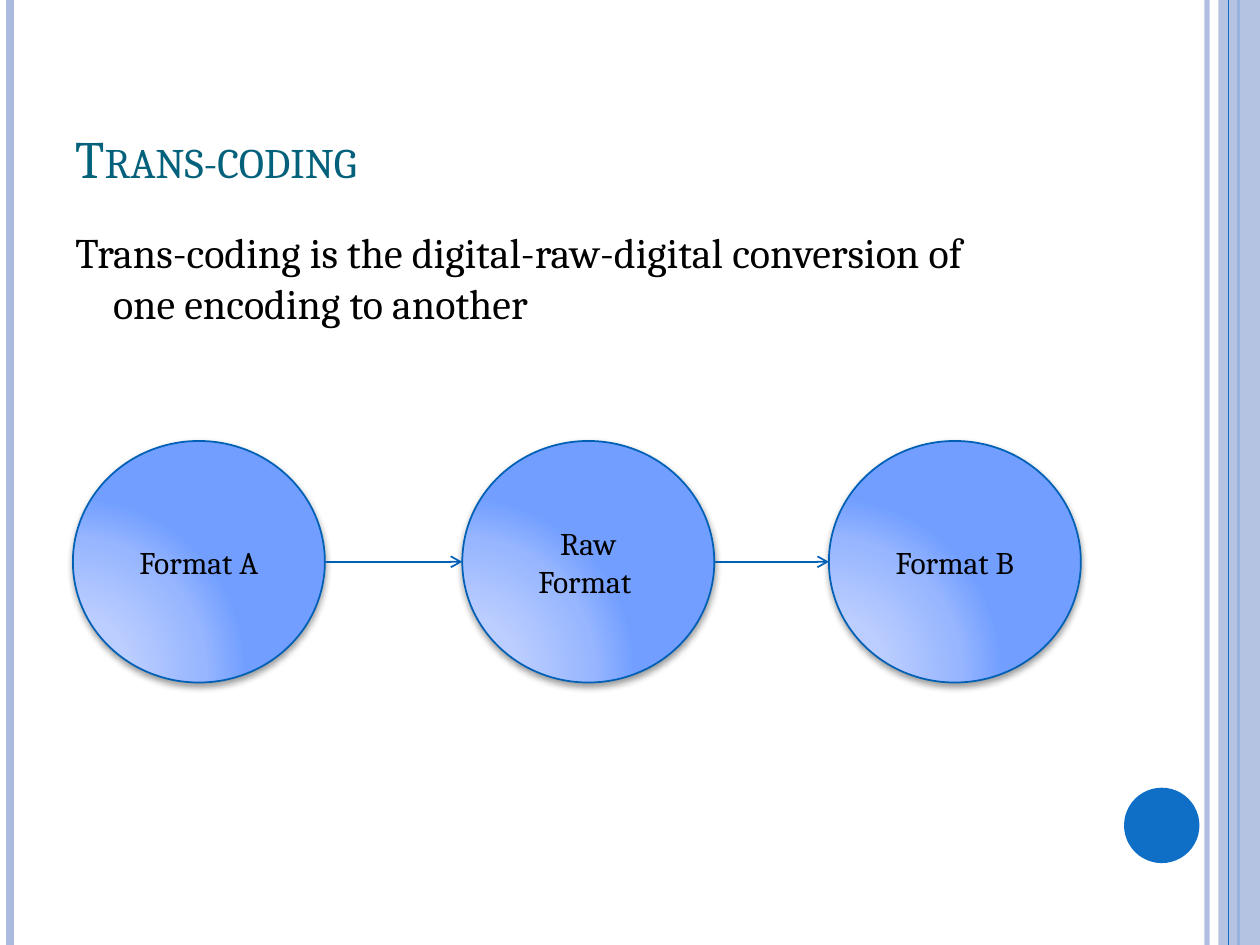
"""Build the trans-coding slide: three formats joined by arrows."""
from lxml.etree import SubElement
from pptx import Presentation
from pptx.dml.color import RGBColor
from pptx.enum.shapes import MSO_CONNECTOR, MSO_SHAPE
from pptx.enum.text import MSO_ANCHOR, PP_ALIGN
from pptx.oxml import parse_xml
from pptx.oxml.ns import nsdecls, qn
from pptx.util import Cm, Pt

NBSP = chr(160)
TITLE = "Trans-coding"
BODY = (f"Trans-coding{NBSP}is the digital-raw-digital conversion of "
        f"one{NBSP}encoding{NBSP}to another")
FORMATS = [("Format A", 1.47), ("Raw Format ", 9.32), ("Format B", 16.71)]
STRIPES = [(24.33, "pale", 3, 93), (0.2, "pale", 4.5, 100), (24.97, "accent", 1.5, 100)]
INNER_STRIPE = (24.77, "accent", 0.75, 100)
THEME = {
    "font": "Cambria", "title_size": 30, "body_size": 24, "label_size": 18,
    "pale": "ABBBDF", "accent": "0F6FC6", "title": "04617B",
    "text": "000000", "outline": "0060B6",
    "glow": [(0, "C2D3FF"), (30, "BCCEFF"), (75, "97B6FF"), (100, "719EFF")],
}
SLIDE_W, SLIDE_H = 25.4, 19.05
TOP, DIAMETER, HEIGHT = 8.89, 5.08, 4.87


def rgb(name):
    return RGBColor.from_string(THEME[name])


def set_alpha(sp, percent):
    for clr in sp._element.spPr.iter(qn("a:srgbClr")):
        SubElement(clr, qn("a:alpha"), val=str(percent * 1000))


def add_line(s, start, end, color, width):
    cx = s.shapes.add_connector(MSO_CONNECTOR.STRAIGHT, *map(Cm, start + end))
    cx.line.color.rgb = rgb(color)
    cx.line.width = Pt(width)
    SubElement(cx._element.spPr, qn("a:effectLst"))
    return cx


def add_stripe(s, x, color, width, alpha):
    cx = add_line(s, (x, 0), (x, SLIDE_H), color, width)
    if alpha < 100:
        set_alpha(cx, alpha)


def add_plain(s, kind, box, color):
    sp = s.shapes.add_shape(kind, *map(Cm, box))
    sp.shadow.inherit = False
    sp.fill.solid()
    sp.fill.fore_color.rgb = rgb(color)
    sp.line.fill.background()
    return sp


def write(sp, text, size, color, anchor):
    tf = sp.text_frame
    tf.word_wrap = True
    tf.vertical_anchor = anchor
    p = tf.paragraphs[0]
    p.text = text
    p.font.name = THEME["font"]
    p.font.size = Pt(THEME[size])
    p.font.color.rgb = rgb(color)
    return p


def add_text(s, box, *style):
    return write(s.shapes.add_textbox(*map(Cm, box)), *style)


def add_glow(sp):
    stops = "".join(f'<a:gs pos="{pos * 1000}"><a:srgbClr val="{color}"/></a:gs>'
                    for pos, color in THEME["glow"])
    fill = parse_xml(
        f'<a:gradFill {nsdecls("a")} rotWithShape="1"><a:gsLst>{stops}</a:gsLst>'
        '<a:path path="circle"><a:fillToRect l="5000" t="100000" r="120000" b="10000"/>'
        '</a:path></a:gradFill>')
    shadow = parse_xml(
        f'<a:effectLst {nsdecls("a")}><a:outerShdw blurRad="{Pt(4)}" dist="{Pt(2)}" '
        'dir="5400000" rotWithShape="0"><a:srgbClr val="000000"><a:alpha val="40000"/>'
        '</a:srgbClr></a:outerShdw></a:effectLst>')
    spPr = sp._element.spPr
    spPr.replace(spPr.find(qn("a:solidFill")), fill)
    spPr.replace(spPr.find(qn("a:effectLst")), shadow)


def add_format(s, label, x):
    sp = add_plain(s, MSO_SHAPE.OVAL, (x, TOP, DIAMETER, HEIGHT), "accent")
    sp.line.color.rgb = rgb("outline")
    sp.line.width = Pt(1)
    add_glow(sp)
    p = write(sp, label, "label_size", "text", MSO_ANCHOR.MIDDLE)
    p.alignment = PP_ALIGN.CENTER


def add_arrow(s, x1, x2):
    y = TOP + HEIGHT / 2
    cx = add_line(s, (x1, y), (x2, y), "outline", 1)
    SubElement(cx.line._get_or_add_ln(), qn("a:tailEnd"), type="arrow")


def main():
    prs = Presentation()
    prs.slide_width, prs.slide_height = Cm(SLIDE_W), Cm(SLIDE_H)
    s = prs.slides.add_slide(prs.slide_layouts[6])

    for stripe in STRIPES:
        add_stripe(s, *stripe)
    band = add_plain(s, MSO_SHAPE.RECTANGLE, (24.56, 0, 0.84, SLIDE_H), "pale")
    set_alpha(band, 87)
    add_stripe(s, *INNER_STRIPE)
    add_plain(s, MSO_SHAPE.OVAL, (22.66, 15.88, 1.52, 1.52), "accent")

    p = add_text(s, (1.27, 0.76, 20.75, 3.18), TITLE, "title_size", "title", MSO_ANCHOR.BOTTOM)
    p.font._element.set("cap", "small")
    p = add_text(s, (1.27, 4.45, 20.75, 13.54), BODY, "body_size", "text", MSO_ANCHOR.TOP)
    p.space_before = Pt(6)
    pPr = p._p.get_or_add_pPr()
    pPr.set("marL", str(Cm(0.76)))
    pPr.set("indent", str(-Cm(0.76)))

    for label, x in FORMATS:
        add_format(s, label, x)
    for (_, left), (_, right) in zip(FORMATS, FORMATS[1:]):
        add_arrow(s, left + DIAMETER, right)
    prs.save("out.pptx")


if __name__ == "__main__":
    main()
